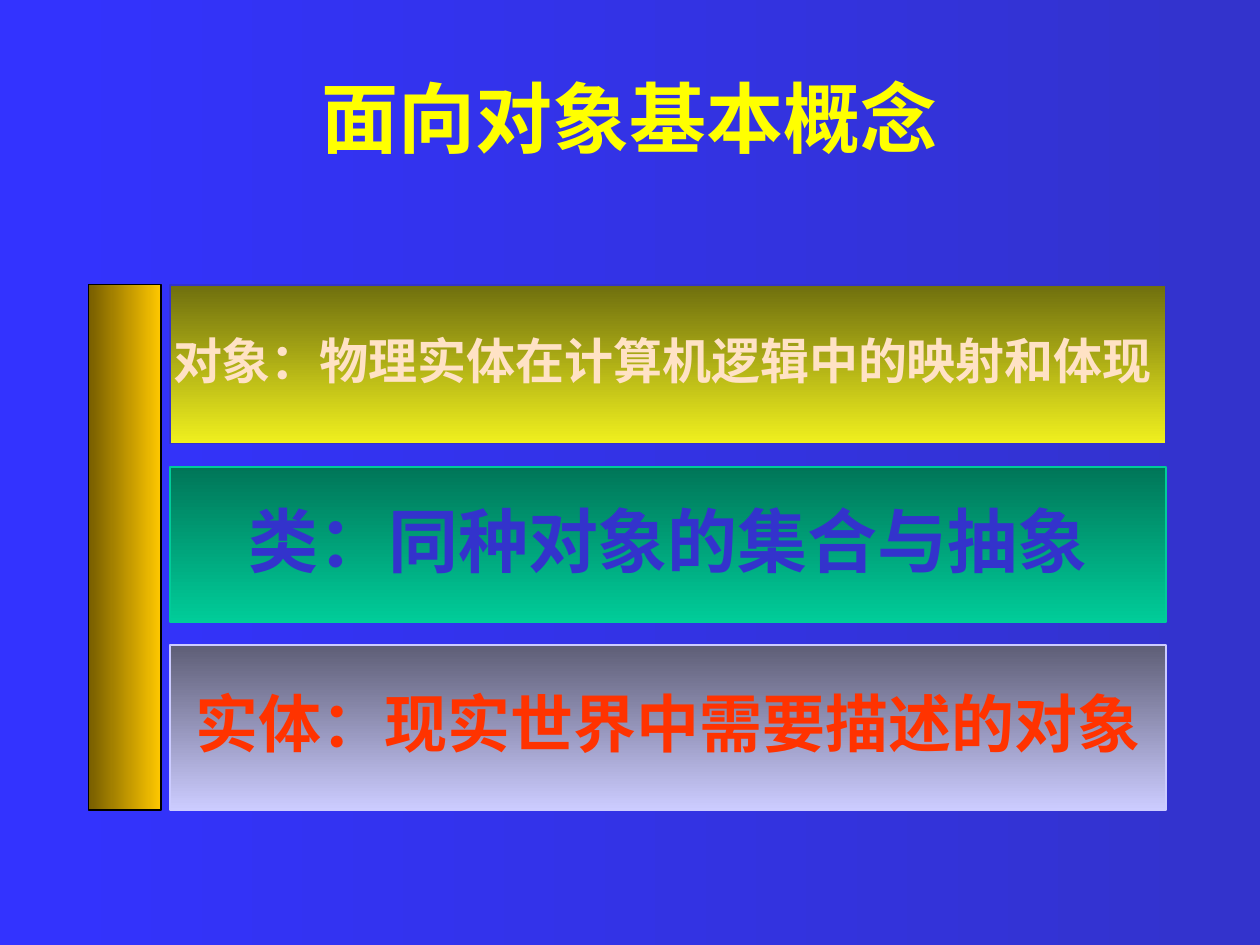
from lxml import etree
from pptx import Presentation
from pptx import util as u
from pptx.dml.color import RGBColor
from pptx.enum import shapes, text
from pptx.oxml.ns import qn

CJK = "Noto Sans CJK SC"
COLORS = {
    "bg_left": "3333FF", "bg_right": "3333CC", "title": "FFFF00",
    "bar_dark": "765D00", "bar": "FFC800", "black": "000000",
    "olive_dark": "6F6F0E", "olive": "F0F01E", "cream": "FFE2C5",
    "green_dark": "007658", "green": "00CC99", "blue": "3333CC",
    "lilac_dark": "5E5E76", "lilac": "CCCCFF", "red": "FF3300",
}
# top and height in the panel (cm), text, size, font, text colour, gradient, line
BANDS = [
    (0, 3.2, "对象：物理实体在计算机逻辑中的映射和体现 ", 28, "Arial",
     "cream", ("olive_dark", "olive"), "blue"),
    (3.68, 3.12, "类：同种对象的集合与抽象", 40, CJK,
     "blue", ("green_dark", "green"), "green"),
    (7.26, 3.33, "实体：现实世界中需要描述的对象", 36, CJK,
     "red", ("lilac_dark", "lilac"), "lilac"),
]


def rgb(name):
    return RGBColor.from_string(COLORS[name])


def set_gradient(fill, names, angle=0):
    fill.gradient()
    fill.gradient_angle = angle
    for stop, name, position in zip(fill.gradient_stops, names, (0, 1)):
        stop.color.rgb = rgb(name)
        stop.position = position


def add_rect(s, x, y, w, h, gradient, angle, line, width):
    sp = s.shapes.add_shape(shapes.MSO_SHAPE.RECTANGLE,
                            u.Cm(x), u.Cm(y), u.Cm(w), u.Cm(h))
    sp.shadow.inherit = False
    set_gradient(sp.fill, gradient, angle)
    sp.line.color.rgb = rgb(line)
    sp.line.width = u.Pt(width)
    return sp


def write(sp, words, size, font, color, wrap, spacing=1.0):
    tf = sp.text_frame
    tf.word_wrap = wrap
    tf.vertical_anchor = text.MSO_ANCHOR.MIDDLE
    p = tf.paragraphs[0]
    p.alignment = text.PP_ALIGN.CENTER
    p.line_spacing = spacing
    r = p.add_run()
    r.text = words
    r.font.size = u.Pt(size)
    r.font.bold = True
    r.font.color.rgb = rgb(color)
    r.font.name = font
    # East Asian typeface
    ea = etree.SubElement(r.font._element, qn("a:ea"))
    ea.set("typeface", CJK)


def add_title(s, x, y, w, h):
    sp = s.shapes.add_textbox(u.Cm(x), u.Cm(y), u.Cm(w), u.Cm(h))
    write(sp, "面向对象基本概念", 44, CJK, "title", True)


def add_concepts(s, x, y, w, h):
    # Vertical bar on the left
    add_rect(s, x, y, 1.47, h, ("bar_dark", "bar"), 0, "black", 0.75)
    # Concept bands
    indent = 1.65
    for top, height, words, size, font, color, gradient, line in BANDS:
        sp = add_rect(s, x + indent, y + top, w - indent, height,
                      gradient, 270, line, 1)
        write(sp, words, size, font, color, False, 0.9)


def main():
    prs = Presentation()
    prs.slide_width, prs.slide_height = u.Cm(25.4), u.Cm(19.05)
    s = prs.slides.add_slide(prs.slide_layouts[6])
    set_gradient(s.background.fill, ("bg_left", "bg_right"))
    add_title(s, 0, 0.76, 25.4, 3.18)
    add_concepts(s, 1.78, 5.74, 21.72, 10.59)
    prs.save("out.pptx")


if __name__ == "__main__":
    main()
